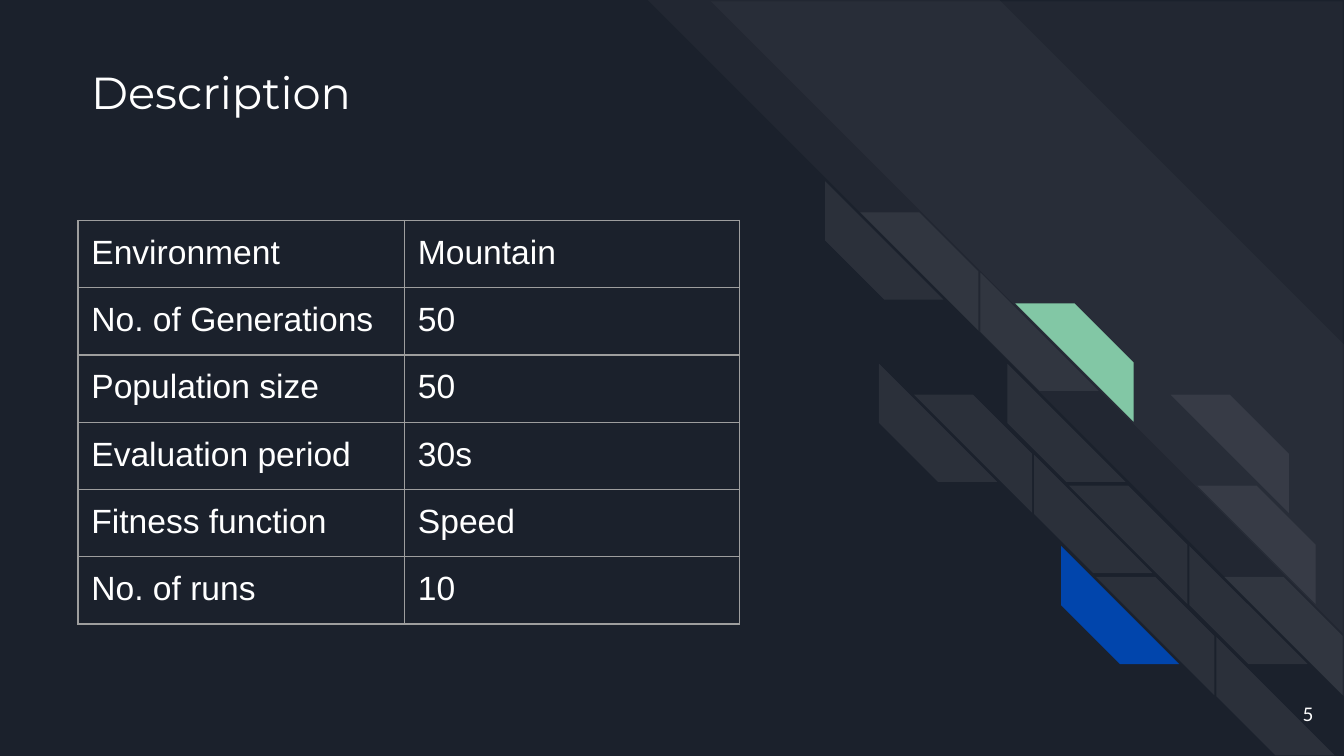
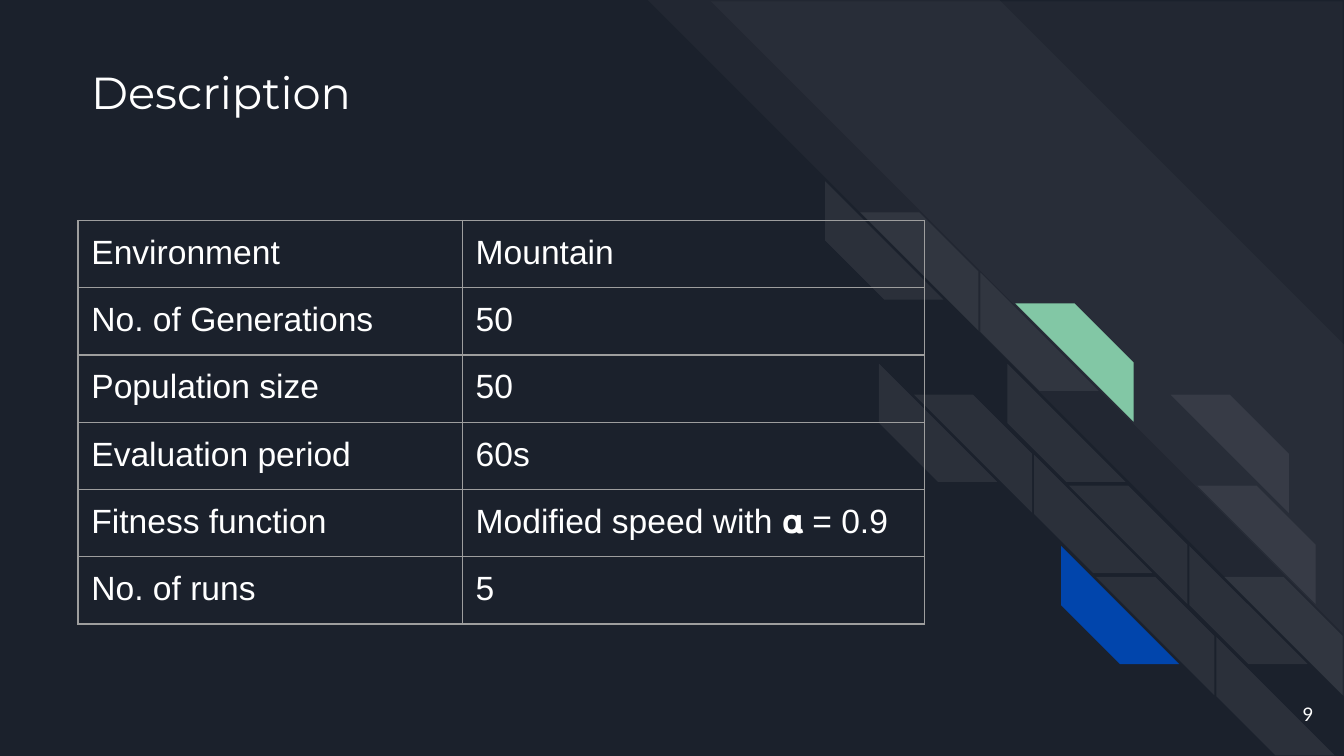
import pptx
import pptx.util
import pptx.dml.color
import pptx.enum.shapes
import pptx.enum.text
import pptx.oxml
import pptx.oxml.ns

DECK = [
    {"title": "Description", "page": "5", "cols": (2.43, 2.49), "rows": [
        ("Environment", "Mountain"),
        ("No. of Generations", "50"),
        ("Population size", "50"),
        ("Evaluation period", "30s"),
        ("Fitness function", "Speed"),
        ("No. of runs", "10"),
    ]},
    {"title": "Description", "page": "9", "cols": (2.86, 3.44), "rows": [
        ("Environment", "Mountain"),
        ("No. of Generations", "50"),
        ("Population size", "50"),
        ("Evaluation period", "60s"),
        ("Fitness function", "Modified speed with 𝛂 = 0.9"),
        ("No. of runs", "5"),
    ]},
]
HUES = {"back": "1B212C", "white": "FFFFFF", "green": "82C7A5",
        "blue": "0145AC", "rule": "9E9E9E"}

BANDS = [(4.82, 0, 5.18, 0.495), (5.29, 0.01, 4.7, 0)]
TILES = [
    ("left", 0, 0, "white"), ("right", 0, 0, "white"),
    ("left", 2, 0, "white"), ("right", 2, 0, "white"),
    ("left", 1, 1, "white"), ("right", 1, 1, "green"),
    ("left", 2, 1, "white"), ("right", 2, 2, "white"),
    ("right", 3, 2, "white"), ("left", 3, 1, "white"),
    ("right", 3, 1, "white"), ("left", 4, 1, "blue"),
    ("right", 4, 1, "white"), ("left", 4, 2, "white"),
    ("right", 4, 2, "white"), ("left", 5, 2, "white"),
]
START = {"left": (6.14, 1.35), "right": (6.4, 1.58)}
TILE, PITCH, DRIFT, DROP = 0.88, 1.91 / 2, 0.2, 3.39 / 5
EDGE, INSET, ROW = 0.58, 0.1, 0.42

inch = pptx.util.Inches


def hue(name):
    return pptx.dml.color.RGBColor.from_string(HUES[name])


def style(par, face, size):
    par.font.name = face
    par.font.size = pptx.util.Pt(size)
    par.font.color.rgb = hue("white")


def pad(box):
    box.margin_left = box.margin_right = inch(INSET)
    box.margin_top = box.margin_bottom = inch(INSET)


def stripe(slide, x, y, size, cut, color="white", alpha=None, turn=0):
    kind = pptx.enum.shapes.MSO_SHAPE.DIAGONAL_STRIPE
    shape = slide.shapes.add_shape(kind, inch(x), inch(y), inch(size), inch(size))
    shape.adjustments[0] = cut
    shape.rotation = turn
    shape.shadow.inherit = False
    shape.line.fill.background()
    shape.fill.solid()
    shape.fill.fore_color.rgb = hue(color)
    if alpha:
        tone = shape._element.spPr.find(".//" + pptx.oxml.ns.qn("a:srgbClr"))
        tone.append(pptx.oxml.parse_xml(
            f'<a:alpha {pptx.oxml.ns.nsdecls("a")} val="{alpha * 1000}"/>'))
    return shape


def decor(slide):
    for x, y, size, cut in BANDS:
        stripe(slide, x, y, size, cut, alpha=3, turn=90)
    for side, row, col, color in TILES:
        x, y = START[side]
        tile = stripe(slide, x + col * PITCH + row * DRIFT, y + row * DROP,
                      TILE, 0.5, color, 7 if color == "white" else None,
                      270 if side == "left" else 0)
        if side == "right":
            tile._element.spPr.xfrm.set("flipH", "1")


def label(slide, text, area, face, size):
    frame = slide.shapes.add_textbox(*map(inch, area)).text_frame
    frame.word_wrap = True
    pad(frame)
    frame.text = text
    style(frame.paragraphs[0], face, size)
    return frame


def border(cell):
    props = cell._tc.get_or_add_tcPr()
    for spot, side in enumerate("LRTB"):
        props.insert(spot, pptx.oxml.parse_xml(
            f'<a:ln{side} {pptx.oxml.ns.nsdecls("a")} w="9525"><a:solidFill>'
            f'<a:srgbClr val="{HUES["rule"]}"/></a:solidFill></a:ln{side}>'))


def grid(slide, rows, cols):
    table = slide.shapes.add_table(
        len(rows), len(cols), inch(EDGE), inch(1.64),
        inch(sum(cols)), inch(ROW * len(rows))).table
    table.first_row = table.horz_banding = False
    for col, width in zip(table.columns, cols):
        col.width = inch(width)
    for line, texts in zip(table.rows, rows):
        line.height = inch(ROW)
        for cell, text in zip(line.cells, texts):
            cell.text = text
            pad(cell)
            style(cell.text_frame.paragraphs[0], "Arial", 18)
            cell.fill.background()
            border(cell)


def main():
    prs = pptx.Presentation()
    prs.slide_width = inch(10)
    prs.slide_height = prs.slide_width * 9 // 16
    fill = prs.slide_master.background.fill
    fill.solid()
    fill.fore_color.rgb = hue("back")
    for page in DECK:
        slide = prs.slides.add_slide(prs.slide_layouts[6])
        decor(slide)
        label(slide, page["title"], (EDGE, 0.38, 7.7, 1), "Montserrat", 24)
        grid(slide, page["rows"], page["cols"])
        foot = label(slide, page["page"], (9.27, 5.1, 0.6, 0.43), "Lato", 10)
        foot.vertical_anchor = pptx.enum.text.MSO_ANCHOR.MIDDLE
        foot.paragraphs[0].alignment = pptx.enum.text.PP_ALIGN.RIGHT
    prs.save("out.pptx")


if __name__ == "__main__":
    main()
